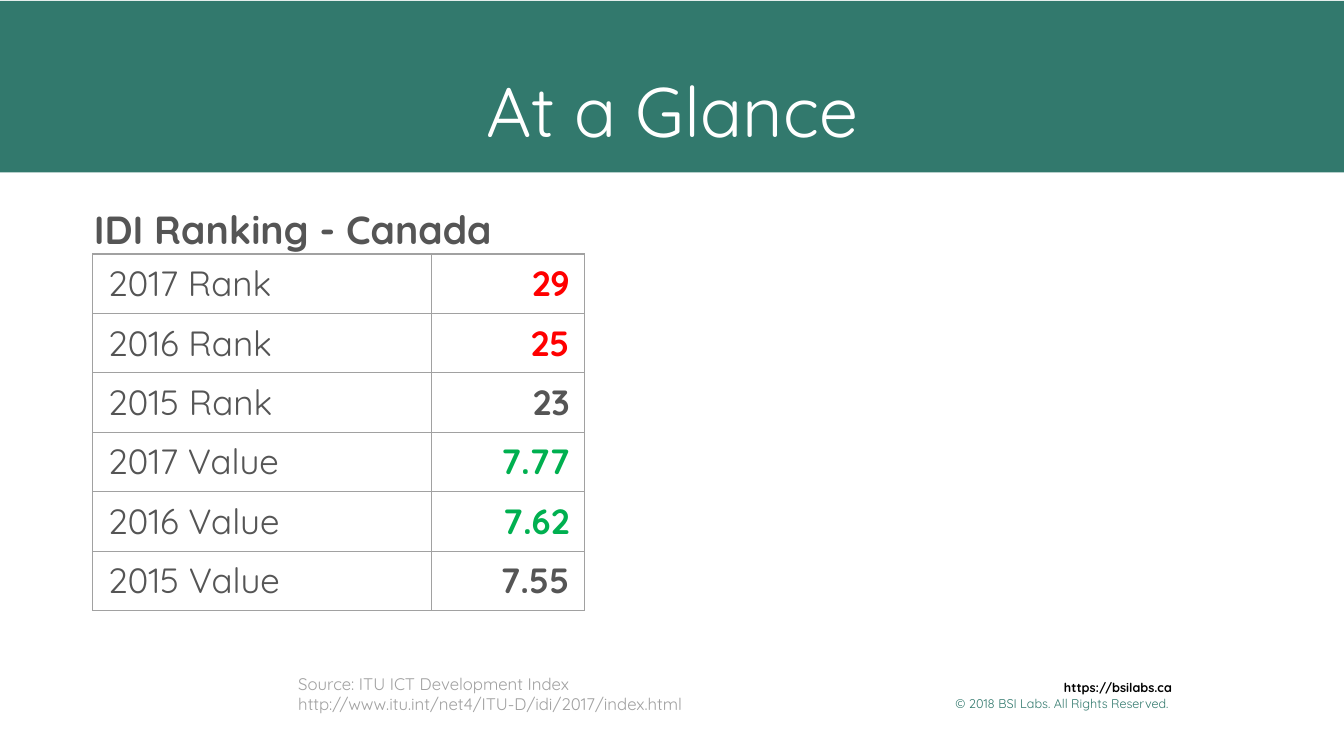
from lxml import etree
from pptx import Presentation
from pptx import util as u
from pptx.dml.color import RGBColor
from pptx.enum import shapes, text
from pptx.oxml.ns import qn

TEAL, WHITE, BLACK = "32796D", "FFFFFF", "000000"
INK, GREY, RED, GREEN = "555555", "A1A1A1", "FF0000", "00B050"
LEFT, CENTER, RIGHT = text.PP_ALIGN.LEFT, text.PP_ALIGN.CENTER, text.PP_ALIGN.RIGHT


def color(hex_code):
    return RGBColor.from_string(hex_code)


def write(paragraph, words, size=12, ink=INK, bold=False, align=LEFT):
    paragraph.alignment = align
    run = paragraph.add_run()
    run.text = words
    run.font.name = "Quicksand"
    run.font.size = u.Pt(size)
    run.font.bold = bold
    run.font.color.rgb = color(ink)


class Deck:
    def __init__(self):
        self.prs = Presentation()
        self.prs.slide_width = u.Inches(13.33)
        self.prs.slide_height = u.Inches(7.5)
        self.slide = self.prs.slides.add_slide(self.prs.slide_layouts[6])

    def band(self, *box, fill):
        band = self.slide.shapes.add_shape(
            shapes.MSO_SHAPE.RECTANGLE, *map(u.Inches, box))
        band.shadow.inherit = False
        band.fill.solid()
        band.fill.fore_color.rgb = color(fill)
        band.line.fill.background()

    def textbox(self, *box, lines, anchor=text.MSO_ANCHOR.TOP):
        frame = self.slide.shapes.add_textbox(*map(u.Inches, box)).text_frame
        frame.word_wrap = True
        frame.vertical_anchor = anchor
        for i, (words, style) in enumerate(lines):
            paragraph = frame.add_paragraph() if i else frame.paragraphs[0]
            write(paragraph, words, **style)

    def cell(self, cell, words, margins, borders, **style):
        cell.fill.background()
        cell.vertical_anchor = text.MSO_ANCHOR.BOTTOM
        (cell.margin_left, cell.margin_top,
         cell.margin_right, cell.margin_bottom) = map(u.Inches, margins)
        if words:
            write(cell.text_frame.paragraphs[0], words, **style)
        self.borders(cell, borders)

    def borders(self, cell, visible):
        props = cell._tc.get_or_add_tcPr()
        for position, side in enumerate("LRTB"):
            line = etree.Element(qn(f"a:ln{side}"), w=str(u.Pt(1)))
            if side in visible:
                fill = etree.SubElement(line, qn("a:solidFill"))
                etree.SubElement(fill, qn("a:srgbClr"), val=GREY)
            else:
                etree.SubElement(line, qn("a:noFill"))
            props.insert(position, line)

    def ranking_table(self, left, top, widths, heading, rows):
        heading_height, row_height = 0.61, 0.59
        table = self.slide.shapes.add_table(
            len(rows) + 1, 2, u.Inches(left), u.Inches(top), u.Inches(sum(widths)),
            u.Inches(heading_height + row_height * len(rows))).table
        table.first_row = table.horz_banding = False
        for column, width in zip(table.columns, widths):
            column.width = u.Inches(width)
        for i, row in enumerate(table.rows):
            row.height = u.Inches(row_height if i else heading_height)

        # Heading across both columns
        table.cell(0, 0).merge(table.cell(0, 1))
        for col, words in enumerate((heading, "")):
            self.cell(table.cell(0, col), words, (0.01, 0.01, 0.01, 0), "B",
                      size=28, bold=True)

        # Label and figure in each row
        margins = (0.15, 0.07, 0.15, 0.08)
        for i, (label, figure, ink) in enumerate(rows, start=1):
            self.cell(table.cell(i, 0), label, margins, "LRTB", size=25)
            self.cell(table.cell(i, 1), figure, margins, "LRTB", size=25,
                      ink=ink, bold=True, align=RIGHT)


def main():
    deck = Deck()

    # Title band
    deck.band(0, 0.01, 13.33, 1.7, fill=TEAL)
    deck.textbox(0.89, 0.49, 11.56, 1.06, anchor=text.MSO_ANCHOR.BOTTOM, lines=[
        ("At a Glance", dict(size=50, ink=WHITE, align=CENTER))])

    # Ranking
    deck.ranking_table(0.92, 1.91, (3.36, 1.52), "IDI Ranking - Canada", [
        ("2017 Rank", "29", RED),
        ("2016 Rank", "25", RED),
        ("2015 Rank", "23", INK),
        ("2017 Value", "7.77", GREEN),
        ("2016 Value", "7.62", GREEN),
        ("2015 Value", "7.55", INK),
    ])

    # Source and copyright
    source_style = dict(size=12, ink=GREY)
    deck.textbox(2.86, 6.63, 6.07, 0.44, lines=[
        ("Source: ITU ICT Development Index", source_style),
        ("http://www.itu.int/net4/ITU-D/idi/2017/index.html", source_style)])
    deck.textbox(8.78, 6.66, 2.94, 0.44, anchor=text.MSO_ANCHOR.BOTTOM, lines=[
        ("https://bsilabs.ca", dict(size=9, ink=BLACK, bold=True, align=RIGHT)),
        ("© 2018 BSI Labs. All Rights Reserved. ",
         dict(size=9, ink=TEAL, align=RIGHT))])

    deck.prs.save("out.pptx")


if __name__ == "__main__":
    main()
